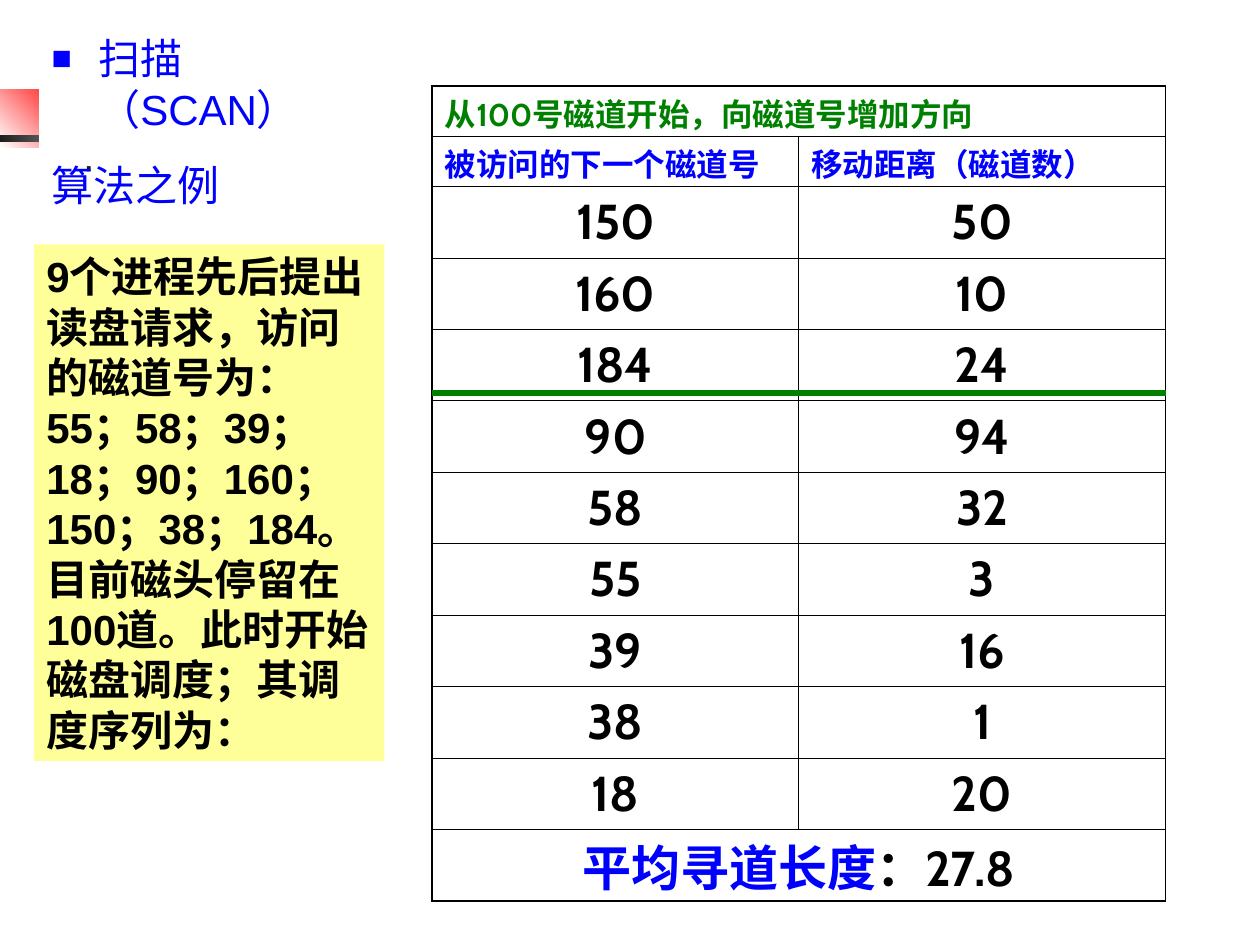
import pptx
import pptx.util
import pptx.dml.color
import pptx.enum.shapes
import pptx.enum.text
import pptx.oxml
import pptx.oxml.ns
from lxml import etree

Inches, Pt = pptx.util.Inches, pptx.util.Pt
RECT = pptx.enum.shapes.MSO_SHAPE.RECTANGLE
TOP = pptx.enum.text.MSO_ANCHOR.TOP
MIDDLE = pptx.enum.text.MSO_ANCHOR.MIDDLE
LEFT = pptx.enum.text.PP_ALIGN.LEFT
CENTER = pptx.enum.text.PP_ALIGN.CENTER
NS = pptx.oxml.ns.nsdecls("a")


def rgb(value):
    return pptx.dml.color.RGBColor.from_string(value)


def format_runs(p, size, font, color, bold):
    for r in p.runs:
        r.font.size = Pt(size)
        r.font.name = font
        r.font.color.rgb = rgb(color)
        r.font.bold = bold


prs = pptx.Presentation()
prs.slide_width, prs.slide_height = Inches(10), Inches(7.5)
s = prs.slides.add_slide(prs.slide_layouts[5])
title = s.shapes.title

# Corner ornament: each part has one colour, or two for a gradient
ornament = [
    (0, 0.71, 0.61, 0.46, ["FFFFFF", "FF0000"], 45),
    (0.69, 0.25, 0.03, 1.11, ["1C1C1C"], 0),
    (0, 1.07, 1.22, 0.06, ["1C1C1C", "FFFFFF"], 0),
]
for x, y, w, h, colors, angle in ornament:
    sp = s.shapes.add_shape(RECT, Inches(x), Inches(y), Inches(w), Inches(h))
    sp.shadow.inherit = False
    sp.line.fill.background()
    if len(colors) == 1:
        sp.fill.solid()
        sp.fill.fore_color.rgb = rgb(colors[0])
    else:
        sp.fill.gradient()
        sp.fill.gradient_angle = angle
        for stop, color in zip(sp.fill.gradient_stops, colors):
            stop.color.rgb = rgb(color)

# Table of track visits
rows = [
    ("从100号磁道开始，向磁道号增加方向", ""),
    ("被访问的下一个磁道号", "移动距离（磁道数）"),
    ("150", "50"), ("160", "10"), ("184", "24"), ("90", "94"), ("58", "32"),
    ("55", "3"), ("39", "16"), ("38", "1"), ("18", "20"),
    ("平均寻道长度", ""),
]
last = len(rows) - 1
header_height = Inches(0.4)
row_height = (Inches(6.47) - 2 * header_height) // (len(rows) - 2)
table = s.shapes.add_table(len(rows), 2, Inches(3.43), Inches(0.68),
                           Inches(5.82), Inches(6.47)).table
table.first_row = table.horz_banding = False
for col in table.columns:
    col.width = Inches(2.91)
for i in (0, last):
    table.cell(i, 0).merge(table.cell(i, 1))

for i, texts in enumerate(rows):
    header = i < 2
    table.rows[i].height = header_height if header else row_height
    for j, text in enumerate(texts):
        cell = table.cell(i, j)
        outer = {"L": j == 0, "R": j == 1 or cell.is_merge_origin,
                 "T": i == 0, "B": i == last}
        tcPr = cell._tc.get_or_add_tcPr()
        for side, is_outer in outer.items():
            width = Pt(1.08 if is_outer else 0.45)
            tcPr.append(pptx.oxml.parse_xml(
                f'<a:ln{side} {NS} w="{width}"><a:solidFill>'
                f'<a:srgbClr val="000000"/></a:solidFill></a:ln{side}>'))
        cell.fill.background()
        cell.vertical_anchor = TOP if header else MIDDLE
        # Tall Chinese lines need slim margins to keep the row height
        cell.margin_top = Inches(0 if i == last else 0.03)
        cell.margin_bottom = Inches(0 if header or i == last else 0.03)
        if not text:
            continue
        cell.text_frame.text = text
        p = cell.text_frame.paragraphs[0]
        p.alignment = LEFT if header else CENTER
        color = "008000" if i == 0 else "0000FF" if i in (1, last) else "000000"
        format_runs(p, 18 if header else 28, "Cabin", color, True)

r = table.cell(last, 0).text_frame.paragraphs[0].add_run()
r.text = "：27.8"
r.font.size, r.font.name, r.font.bold = Pt(28), "Cabin", True
r.font.color.rgb = rgb("000000")

# Heading, raised above the ornament
title._element.getparent().append(title._element)
title.left, title.top = Inches(0.31), Inches(0.21)
title.width, title.height = Inches(2.97), Inches(1.11)
title.fill.solid()
title.fill.fore_color.rgb = rgb("FFFFFF")
tf = title.text_frame
tf.text = "扫描\v（SCAN）\n算法之例"
tf.word_wrap = True
tf.auto_size = pptx.enum.text.MSO_AUTO_SIZE.NONE
tf.vertical_anchor = TOP
for p in tf.paragraphs:
    p.alignment = LEFT
    format_runs(p, 24, "Arial", "0000FF", False)
tf.paragraphs[1].space_before = Pt(15)
pPr = tf.paragraphs[0]._p.get_or_add_pPr()
pPr.set("marL", str(Inches(0.37)))
pPr.set("indent", str(Inches(-0.37)))
for xml in (f'<a:buClr {NS}><a:srgbClr val="0000FF"/></a:buClr>',
            f'<a:buSzPct {NS} val="80000"/>',
            f'<a:buFont {NS} typeface="Arial"/>',
            f'<a:buChar {NS} char="■"/>'):
    pPr.append(pptx.oxml.parse_xml(xml))
for br in tf.paragraphs[0]._p.findall(pptx.oxml.ns.qn("a:br")):
    etree.SubElement(br, pptx.oxml.ns.qn("a:rPr")).set("sz", "2400")

# Problem statement
sp = s.shapes.add_shape(RECT, Inches(0.27), Inches(1.94), Inches(2.78), Inches(4.1))
sp.shadow.inherit = False
sp.line.fill.background()
sp.fill.solid()
sp.fill.fore_color.rgb = rgb("FFFF99")
tf = sp.text_frame
tf.text = ("9个进程先后提出读盘请求，访问的磁道号为："
           "55；58；39；18；90；160；150；38；184。"
           "目前磁头停留在100道。此时开始磁盘调度；其调度序列为：")
tf.word_wrap = True
tf.vertical_anchor = TOP
p = tf.paragraphs[0]
p.alignment = LEFT
format_runs(p, 24, "Arial", "000000", True)

# Line where the head turns back
turn = s.shapes.add_connector(pptx.enum.shapes.MSO_CONNECTOR.STRAIGHT,
                              Inches(3.43), Inches(3.12), Inches(9.25), Inches(3.12))
turn.line.color.rgb = rgb("008000")
turn.line.width = Pt(3)
etree.SubElement(turn._element.spPr, pptx.oxml.ns.qn("a:effectLst"))

prs.save("out.pptx")
